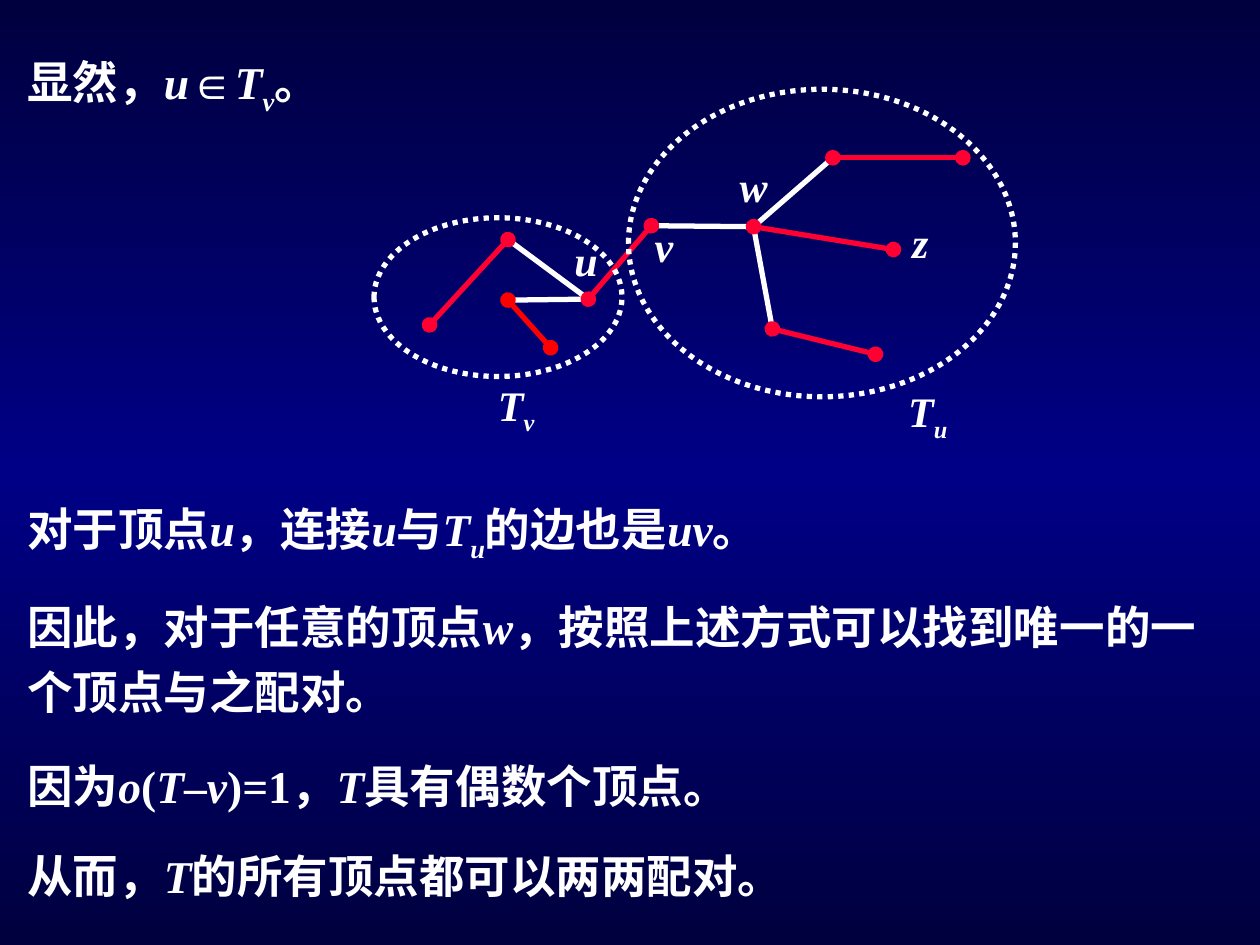
from copy import deepcopy
from dataclasses import dataclass

from lxml import etree
from pptx import Presentation
from pptx.dml.color import RGBColor
from pptx.enum.dml import MSO_LINE
from pptx.enum.shapes import MSO_CONNECTOR, MSO_SHAPE
from pptx.enum.text import MSO_AUTO_SIZE, PP_ALIGN
from pptx.oxml.ns import qn
from pptx.util import Cm, Pt

STRAIGHT = MSO_CONNECTOR.STRAIGHT
ELLIPSE = MSO_SHAPE.OVAL
DOTTED = MSO_LINE.ROUND_DOT  # written to the file as sysDot
LEFT, CENTER = PP_ALIGN.LEFT, PP_ALIGN.CENTER
BLANK_LAYOUT = 6


@dataclass(frozen=True)
class Theme:
    font: str = "Times New Roman"
    body: int = 26
    label: int = 24
    stroke: int = 3
    white: RGBColor = RGBColor(0xFF, 0xFF, 0xFF)
    matched: RGBColor = RGBColor(0xFF, 0x00, 0x33)
    matched_low: RGBColor = RGBColor(0xFF, 0x00, 0x00)
    dark: RGBColor = RGBColor(0x00, 0x00, 0x3E)
    middle: RGBColor = RGBColor(0x00, 0x00, 0x86)


THEME = Theme()

# Runs are split by "|"; "*" starts an italic run, "_" an italic subscript.
# (text, top, width, height, line spacing)
STATEMENTS = [
    ("显然，|*u|∈|*T|_v|。", 0.97, 7.21, 1.52, 1.0),
    ("对于顶点|*u|，连接|*u|与|*T|_u|的边也是|*uv|。", 9.73, 24.66, 1.75, 1.2),
    ("因此，对于任意的顶点|*w|，按照上述方式可以找到唯一的一个顶点与之配对。",
     11.73, 24.66, 2.9, 1.2),
    ("因为|*o|(|*T|‒|*v|)=1，|*T|具有偶数个顶点。", 15.16, 24.66, 1.37, 1.0),
    ("从而，|*T|的所有顶点都可以两两配对。", 16.97, 24.66, 1.37, 1.0),
]

# Tree vertices, in cm
VERTICES = {
    "u": (11.86, 6.03), "v": (13.13, 4.55), "w": (15.19, 4.57), "z": (18.01, 5.03),
    "u_top": (10.24, 4.83), "u_top_leaf": (8.66, 6.55),
    "u_low": (10.24, 6.05), "u_low_leaf": (11.1, 7.01),
    "w_top": (16.79, 3.18), "w_top_leaf": (19.41, 3.18),
    "w_low": (15.57, 6.63), "w_low_leaf": (17.65, 7.14),
}
PLAIN_EDGES = [("v", "w"), ("u", "u_low"), ("u_top", "u"),
               ("w", "w_top"), ("w", "w_low")]
MATCHED_EDGES = [("u", "v"), ("w_top", "w_top_leaf"), ("w_low", "w_low_leaf"),
                 ("w", "z"), ("u_top", "u_top_leaf")]

# Subtree outlines: left, top, width, height
SUBTREES = [(7.54, 4.39, 5, 3.2), (12.67, 1.8, 7.8, 6.2)]

# (text, left, top, width, height)
LABELS = [
    ("*v", 12.85, 4.32, 1.07, 1.27), ("*u", 11.33, 4.6, 0.74, 1.27),
    ("*w", 14.66, 3.12, 1.04, 1.27), ("*z", 18.03, 4.24, 1.04, 1.27),
    ("*T|_v", 9.4, 7.52, 2.01, 1.42), ("*T|_u", 17.7, 7.65, 2.01, 1.42),
]


def paint_background(slide):
    fill = slide.background.fill
    fill.gradient()
    fill.gradient_angle = 270
    first = fill.gradient_stops[0]
    gs_list = slide.background._cSld.find(".//" + qn("a:gsLst"))
    gs_list.insert(1, deepcopy(gs_list[0]))
    first = (THEME.dark, THEME.middle, THEME.dark)
    for stop, position, color in zip(fill.gradient_stops, (0, 0.5, 1), first):
        stop.position = position
        stop.color.rgb = color


def add_text(slide, markup, left, top, width, height, size, align=LEFT, spacing=1.0):
    tf = slide.shapes.add_textbox(Cm(left), Cm(top), Cm(width), Cm(height)).text_frame
    tf.word_wrap = True
    tf.auto_size = MSO_AUTO_SIZE.SHAPE_TO_FIT_TEXT
    p = tf.paragraphs[0]
    p.alignment = align
    p.line_spacing = spacing
    for part in markup.split("|"):
        r = p.add_run()
        r.text = part.lstrip("*_")
        font = r.font
        font.name, font.size, font.bold = THEME.font, Pt(size), True
        font.italic = part[0] in "*_"
        font.color.rgb = THEME.white
        if part[0] == "_":
            r._r.get_or_add_rPr().set("baseline", "-25000")


def add_edge(slide, start, end, color, dots=False):
    x1, y1 = VERTICES[start]
    x2, y2 = VERTICES[end]
    edge = slide.shapes.add_connector(STRAIGHT, Cm(x1), Cm(y1), Cm(x2), Cm(y2))
    edge.line.color.rgb = color
    edge.line.width = Pt(THEME.stroke)
    if dots:
        ln = edge.line._get_or_add_ln()
        for tag in ("a:headEnd", "a:tailEnd"):
            etree.SubElement(ln, qn(tag), type="oval")
    etree.SubElement(edge._element.spPr, qn("a:effectLst"))


def add_subtree(slide, left, top, width, height):
    sp = slide.shapes.add_shape(ELLIPSE, Cm(left), Cm(top), Cm(width), Cm(height))
    sp.shadow.inherit = False
    sp.fill.background()
    sp.line.color.rgb = THEME.white
    sp.line.width = Pt(THEME.stroke)
    sp.line.dash_style = DOTTED


def main():
    prs = Presentation()
    prs.slide_width, prs.slide_height = Cm(25.4), Cm(19.05)
    slide = prs.slides.add_slide(prs.slide_layouts[BLANK_LAYOUT])
    paint_background(slide)

    # Statements of the proof
    for text, top, width, height, spacing in STATEMENTS:
        add_text(slide, text, 0.3, top, width, height, THEME.body, spacing=spacing)

    # Tree: plain edges first, so that the vertex dots lie on top
    for start, end in PLAIN_EDGES:
        add_edge(slide, start, end, THEME.white)
    for start, end in MATCHED_EDGES:
        add_edge(slide, start, end, THEME.matched, dots=True)
    add_edge(slide, "u_low", "u_low_leaf", THEME.matched_low, dots=True)

    # Subtree outlines and labels
    for box in SUBTREES:
        add_subtree(slide, *box)
    for text, *box in LABELS:
        add_text(slide, text, *box, THEME.label, align=CENTER)

    prs.save("out.pptx")


if __name__ == "__main__":
    main()
